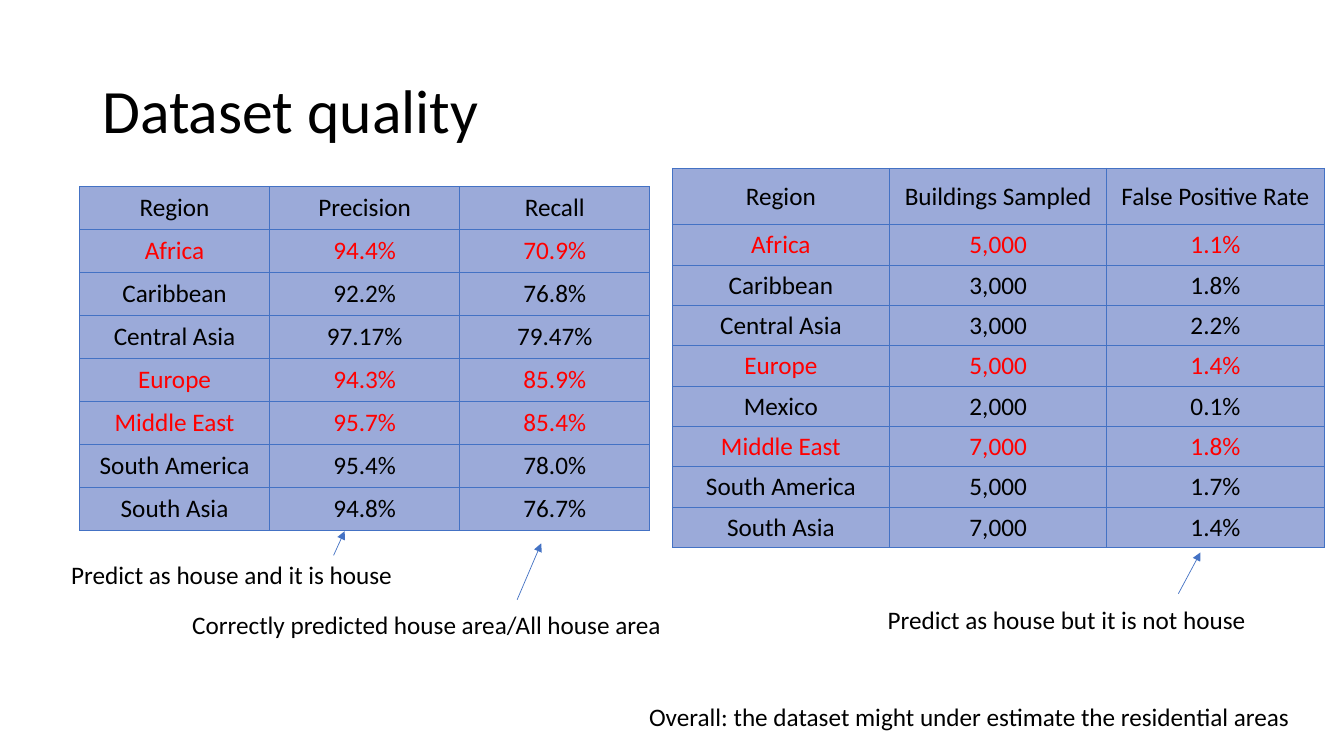
import pptx
import pptx.util
import pptx.dml.color
import pptx.enum.shapes
import pptx.enum.text
import pptx.oxml
import pptx.oxml.ns

Pt = pptx.util.Pt
RGBColor = pptx.dml.color.RGBColor
ANCHOR = pptx.enum.text.MSO_ANCHOR
ALIGN = pptx.enum.text.PP_ALIGN

BLACK = RGBColor(0x00, 0x00, 0x00)
RED = RGBColor(0xFF, 0x00, 0x00)
BLUE = RGBColor(0x44, 0x72, 0xC4)
CELL_FILL = RGBColor(0x9B, 0xAA, 0xD9)

HIGHLIGHTED = {"Africa", "Europe", "Middle East"}

ACCURACY = [
    ("Region", "Precision", "Recall"),
    ("Africa", "94.4%", "70.9%"),
    ("Caribbean", "92.2%", "76.8%"),
    ("Central Asia", "97.17%", "79.47%"),
    ("Europe", "94.3%", "85.9%"),
    ("Middle East", "95.7%", "85.4%"),
    ("South America", "95.4%", "78.0%"),
    ("South Asia", "94.8%", "76.7%"),
]

FALSE_POSITIVES = [
    ("Region", "Buildings Sampled", "False Positive Rate"),
    ("Africa", "5,000", "1.1%"),
    ("Caribbean", "3,000", "1.8%"),
    ("Central Asia", "3,000", "2.2%"),
    ("Europe", "5,000", "1.4%"),
    ("Mexico", "2,000", "0.1%"),
    ("Middle East", "7,000", "1.8%"),
    ("South America", "5,000", "1.7%"),
    ("South Asia", "7,000", "1.4%"),
]


def write(tf, text, size=18, color=BLACK, align=ALIGN.LEFT, spacing=None):
    p = tf.paragraphs[0]
    p.alignment = align
    if spacing:
        p.line_spacing = spacing
    r = p.add_run()
    r.text = text
    r.font.name = "Calibri"
    r.font.size = Pt(size)
    r.font.color.rgb = color


class Deck:
    line_width = 0.5

    def __init__(self, prs):
        self.s = prs.slides.add_slide(prs.slide_layouts[6])

    def text(self, text, x, y, w, h, wrap=False, anchor=ANCHOR.TOP, **style):
        tf = self.s.shapes.add_textbox(Pt(x), Pt(y), Pt(w), Pt(h)).text_frame
        tf.word_wrap = wrap
        tf.vertical_anchor = anchor
        write(tf, text, **style)

    def border(self, cell):
        tcPr = cell._tc.get_or_add_tcPr()
        for side in "LRTB":
            tcPr.append(pptx.oxml.parse_xml(
                f'<a:ln{side} {pptx.oxml.ns.nsdecls("a")} w="{Pt(self.line_width)}">'
                f'<a:solidFill><a:srgbClr val="{BLUE}"/></a:solidFill></a:ln{side}>'))

    def table(self, rows, x, y, col_w, header_h, row_h):
        n_cols = len(rows[0])
        height = header_h + row_h * (len(rows) - 1)
        table = self.s.shapes.add_table(
            len(rows), n_cols, Pt(x), Pt(y), Pt(col_w * n_cols), Pt(height)).table
        table.first_row = table.horz_banding = False
        for col in table.columns:
            col.width = Pt(col_w)
        for i, values in enumerate(rows):
            table.rows[i].height = Pt(row_h if i else header_h)
            color = RED if values[0] in HIGHLIGHTED else BLACK
            for j, value in enumerate(values):
                cell = table.cell(i, j)
                cell.margin_left = cell.margin_right = Pt(7.5)
                cell.margin_top = cell.margin_bottom = Pt(3.6)
                cell.vertical_anchor = ANCHOR.MIDDLE
                self.border(cell)
                cell.fill.solid()
                cell.fill.fore_color.rgb = CELL_FILL
                write(cell.text_frame, value, color=color, align=ALIGN.CENTER)

    def arrow(self, x1, y1, x2, y2):
        c = self.s.shapes.add_connector(
            pptx.enum.shapes.MSO_CONNECTOR.STRAIGHT, Pt(x1), Pt(y1), Pt(x2), Pt(y2))
        c.line.color.rgb = BLUE
        c.line.width = Pt(self.line_width)
        ns = pptx.oxml.ns.nsdecls("a")
        c.line._get_or_add_ln().append(
            pptx.oxml.parse_xml(f'<a:tailEnd {ns} type="triangle"/>'))
        c._element.spPr.append(pptx.oxml.parse_xml(f"<a:effectLst {ns}/>"))


def main():
    prs = pptx.Presentation()
    prs.slide_width, prs.slide_height = Pt(960), Pt(540)
    deck = Deck(prs)

    deck.text("Dataset quality", 66, 28.75, 828, 104.4, wrap=True,
              anchor=ANCHOR.MIDDLE, size=44, spacing=0.9)
    deck.table(ACCURACY, 56.8, 133.2, 135.8, 30.75, 30.75)
    deck.table(FALSE_POSITIVES, 480.2, 120.2, 155.2, 40.3, 28.8)

    deck.text("Predict as house and it is house", 43.8, 395.6, 246.2, 29)
    deck.arrow(238.3, 396.7, 246.2, 379.4)
    deck.text("Correctly predicted house area/All house area", 130.2, 432, 353.5, 29)
    deck.arrow(369.4, 428.4, 386.6, 388.1)
    deck.text("Predict as house but it is not house", 627, 428, 273.6, 29)
    deck.arrow(841.7, 424.1, 857.5, 394.6)
    deck.text("Overall: the dataset might under estimate the residential areas",
              456.5, 497.5, 488.9, 29)

    prs.save("out.pptx")


if __name__ == "__main__":
    main()
